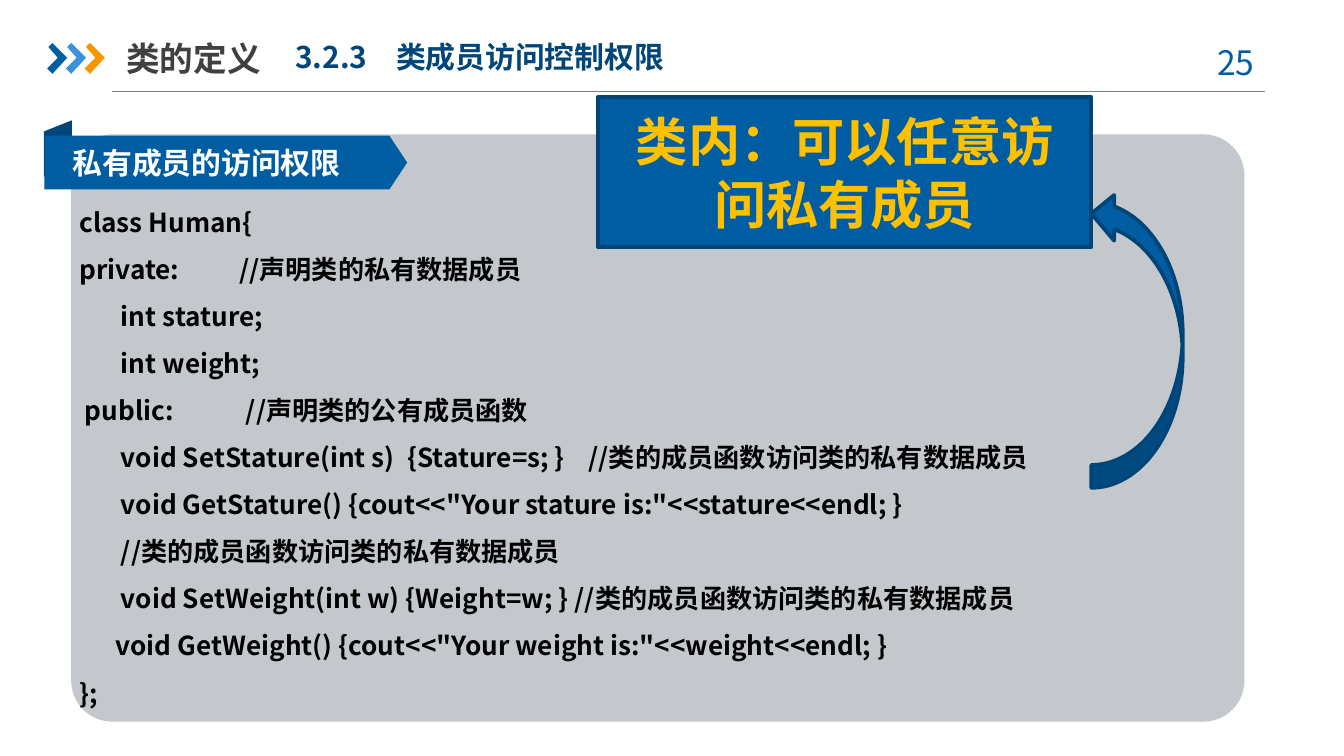
from pptx import Presentation
from pptx.dml.color import RGBColor
from pptx.enum.shapes import MSO_CONNECTOR, MSO_SHAPE
from pptx.enum.text import MSO_ANCHOR, MSO_AUTO_SIZE, PP_ALIGN
from pptx.oxml.ns import qn
from pptx.util import Inches, Pt
from lxml.etree import SubElement

FONT = "Noto Sans CJK SC"
BLUE, NAVY, OUTLINE = "005DA2", "00467A", "004578"
TITLE = "类的定义"
SECTION = "3.2.3\t类成员访问控制权限"
PAGE = "25"
BANNER = "私有成员的访问权限"
CALLOUT = "类内：可以任意访问私有成员"
CODE = [
    ("class Human{", []),
    ("private:\t//声明类的私有数据成员", [1.19]),
    ("\tint stature;", [0.31]),
    ("\tint weight;", [0.31]),
    ("\tpublic:\t//声明类的公有成员函数", [0.04, 1.24]),
    ("\tvoid SetStature(int s)\t{Stature=s; }\t//类的成员函数访问类的私有数据成员", [0.31, 2.44, 3.79]),
    ("\tvoid GetStature() {cout<<\"Your stature is:\"<<stature<<endl; }", [0.31]),
    ("\t//类的成员函数访问类的私有数据成员", [0.31]),
    ("\tvoid SetWeight(int w) {Weight=w; } //类的成员函数访问类的私有数据成员", [0.31]),
    ("\tvoid GetWeight() {cout<<\"Your weight is:\"<<weight<<endl; }", [0.27]),
    ("};", []),
]
CHEVRON_COLORS = [BLUE, "3992DB", "F79600"]
CHEVRON_OUTLINE = [(0.01, 0.03), (0.04, 0), (0.15, 0.11), (0.04, 0.23), (0, 0.19), (0.08, 0.11)]


def rgb(color):
    """Turn a hex string into a colour."""
    return RGBColor.from_string(color)


def paint(shape, fill, line=None):
    """Give a shape its flat fill and optional 2 pt outline."""
    shape.shadow.inherit = False
    shape.fill.solid()
    shape.fill.fore_color.rgb = rgb(fill)
    if line:
        shape.line.color.rgb = rgb(line)
        shape.line.width = Pt(2)
    else:
        shape.line.fill.background()


def add_block(slide, kind, box, fill, line=None, adjust=None, flip=None, rotation=0):
    """Add a painted preset shape."""
    block = slide.shapes.add_shape(kind, *map(Inches, box))
    paint(block, fill, line)
    block.rotation = rotation
    if adjust is not None:
        block.adjustments[0] = adjust
    if flip:
        block._element.spPr.find(qn("a:xfrm")).set(flip, "1")
    return block


def write(shape, lines, size, color, bold=True, align=PP_ALIGN.LEFT, anchor=MSO_ANCHOR.TOP,
          margins=(0.1, 0.05), spacing=1.0):
    """Fill a shape with formatted lines, each with its own tab stops."""
    frame = shape.text_frame
    side, end = map(Inches, margins)
    frame_format = {"word_wrap": True, "auto_size": MSO_AUTO_SIZE.NONE, "vertical_anchor": anchor,
                    "margin_left": side, "margin_right": side, "margin_top": end, "margin_bottom": end}
    for name, value in frame_format.items():
        setattr(frame, name, value)
    for index, (words, stops) in enumerate(lines):
        paragraph = frame.add_paragraph() if index else frame.paragraphs[0]
        paragraph.alignment = align
        paragraph.line_spacing = spacing
        if stops:
            tab_list = SubElement(paragraph._p.get_or_add_pPr(), qn("a:tabLst"))
            for stop in stops:
                SubElement(tab_list, qn("a:tab"), pos=str(Inches(stop)), algn="l")
        run = paragraph.add_run()
        run.text = words
        for name, value in {"name": FONT, "size": Pt(size), "bold": bold}.items():
            setattr(run.font, name, value)
        run.font.color.rgb = rgb(color)
        SubElement(run._r.get_or_add_rPr(), qn("a:ea"), typeface=FONT)


def add_label(slide, box, lines, size, color, **options):
    """Add a text box with formatted lines."""
    write(slide.shapes.add_textbox(*map(Inches, box)), lines, size, color, **options)


def add_header(slide):
    """Build the rule, chevrons, title, section and page number."""
    rule = slide.shapes.add_connector(MSO_CONNECTOR.STRAIGHT, *map(Inches, (0.83, 0.68, 9.41, 0.68)))
    rule.line.color.rgb = rgb("808080")
    rule.line.width = Pt(0.75)
    SubElement(rule._element.spPr, qn("a:effectLst"))
    for index, color in enumerate(CHEVRON_COLORS):
        points = [(Inches(0.35 + 0.14 * index + x), Inches(0.32 + y)) for x, y in CHEVRON_OUTLINE]
        builder = slide.shapes.build_freeform(*points[0])
        builder.add_line_segments(points[1:], close=True)
        paint(builder.convert_to_shape(), color)
    title = slide.shapes.title
    places = zip(("left", "top", "width", "height"), (0.94, 0.22, 2.33, 0.42))
    for name, value in places:
        setattr(title, name, Inches(value))
    write(title, [(TITLE, [])], 18, "404040", anchor=MSO_ANCHOR.MIDDLE, margins=(0, 0.05))
    add_label(slide, (2.1, 0.24, 3.23, 0.37), [(SECTION, [0.75])], 16, NAVY)
    add_label(slide, (8.86, 0.26, 0.67, 0.4), [(PAGE, [])], 18, BLUE, bold=False, align=PP_ALIGN.CENTER)


def add_body(slide):
    """Build the code panel, its banner and the callout."""
    add_block(slide, MSO_SHAPE.FLOWCHART_DATA, (0.22, 1, 0.42, 0.21), NAVY, flip="flipH", rotation=270)
    add_block(slide, MSO_SHAPE.ROUNDED_RECTANGLE, (0.53, 1, 8.73, 4.37), "C4C7CB", adjust=0.07)
    add_block(slide, MSO_SHAPE.PENTAGON, (0.33, 1.01, 2.7, 0.4), BLUE, adjust=0.33)
    add_label(slide, (0.59, 1.42, 8.19, 3.89), CODE, 14, "000000", margins=(0, 0), spacing=1.5)
    add_label(slide, (0.54, 1.08, 2.06, 0.27), [(BANNER, [])], 16, "FFFFFF", margins=(0, 0))
    add_block(slide, MSO_SHAPE.CURVED_LEFT_ARROW, (8.12, 1.42, 0.68, 2.21), BLUE, OUTLINE, flip="flipV")
    callout = add_block(slide, MSO_SHAPE.RECTANGLE, (4.45, 0.72, 3.67, 1.12), BLUE, OUTLINE)
    write(callout, [(CALLOUT, [])], 28, "FFC000", align=PP_ALIGN.CENTER, anchor=MSO_ANCHOR.MIDDLE)


def main():
    """Build and save the slide."""
    deck = Presentation()
    deck.slide_width, deck.slide_height = Inches(10), Inches(10 * 9 / 16)
    slide = deck.slides.add_slide(deck.slide_layouts[5])
    add_header(slide)
    add_body(slide)
    deck.save("out.pptx")


if __name__ == "__main__":
    main()
